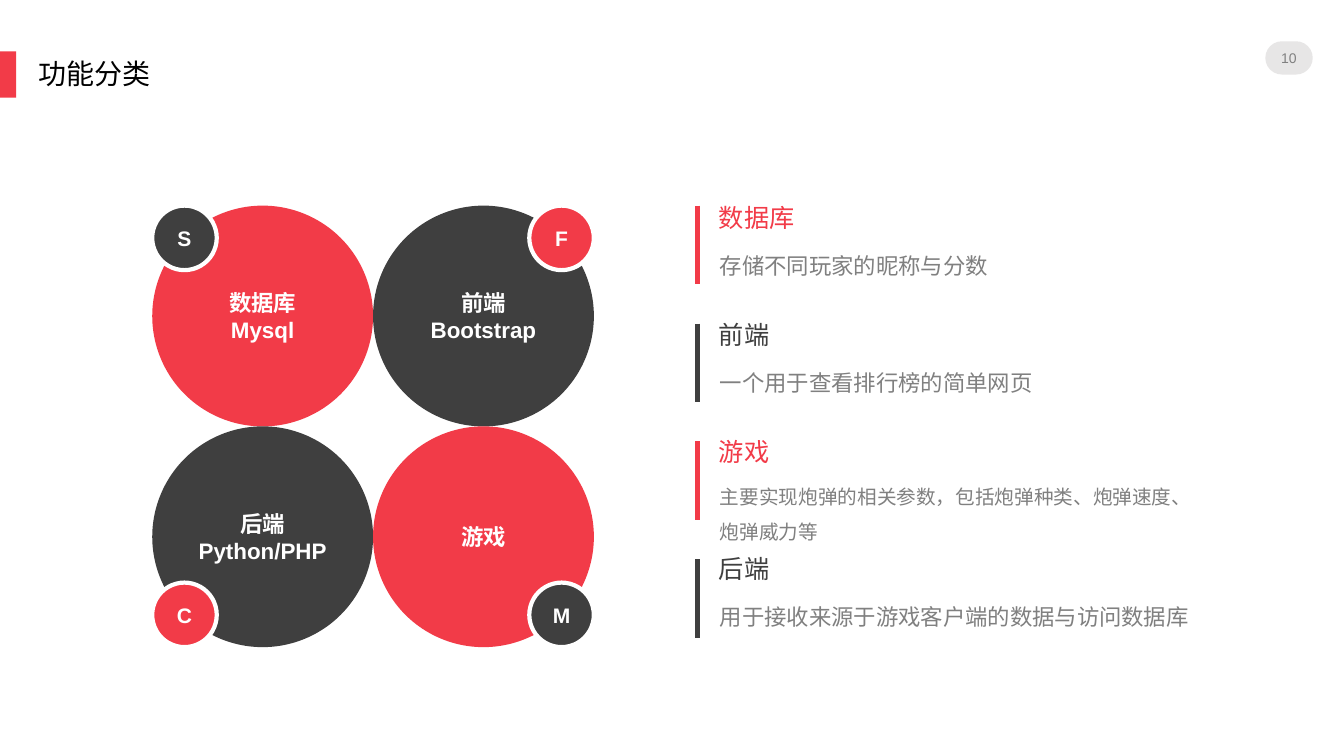
from lxml import etree
from pptx import Presentation
from pptx.dml.color import RGBColor
from pptx.enum.shapes import MSO_CONNECTOR, MSO_SHAPE
from pptx.enum.text import MSO_ANCHOR, MSO_AUTO_SIZE, PP_ALIGN
from pptx.oxml.ns import qn
from pptx.util import Inches, Pt

OVAL, RECT, PILL = MSO_SHAPE.OVAL, MSO_SHAPE.RECTANGLE, MSO_SHAPE.ROUNDED_RECTANGLE
STRAIGHT = MSO_CONNECTOR.STRAIGHT
TOP, MIDDLE = MSO_ANCHOR.TOP, MSO_ANCHOR.MIDDLE
LEFT, CENTER = PP_ALIGN.LEFT, PP_ALIGN.CENTER
NO_FIT = MSO_AUTO_SIZE.NONE

RED, DARK, GRAY, PALE = "F23B48", "3F3F3F", "808080", "E7E6E6"
WHITE, BLACK = "FFFFFF", "000000"

TITLE = "功能分类"
PAGE = "10"
CIRCLES = [
    ("数据库\nMysql", "S", 0, 0, RED, DARK),
    ("前端\nBootstrap", "F", 1, 0, DARK, RED),
    ("后端\nPython/PHP", "C", 0, 1, DARK, RED),
    ("游戏", "M", 1, 1, RED, DARK),
]
ITEMS = [
    ("数据库", "存储不同玩家的昵称与分数", 16, RED),
    ("前端", "一个用于查看排行榜的简单网页", 16, DARK),
    ("游戏", "主要实现炮弹的相关参数，包括炮弹种类、炮弹速度、炮弹威力等", 14, RED),
    ("后端", "用于接收来源于游戏客户端的数据与访问数据库", 16, DARK),
]

GRID_X, GRID_Y, CIRCLE, BADGE = 1.51, 2.04, 2.19, 0.64
BAR_X, BAR_H, BAR_STEP = 6.92, 0.78, 1.17
HEAD_H, TEXT_STEP = 0.33, 1.16


def rgb(value):
    return RGBColor.from_string(value)


def box(x, y, w, h):
    return Inches(x), Inches(y), Inches(w), Inches(h)


def write(sp, text, size, color, bold=False, align=LEFT, anchor=TOP, spacing=None, inset=(0, 0)):
    tf = sp.text_frame
    tf.text = text
    tf.word_wrap = True
    tf.auto_size = NO_FIT
    tf.vertical_anchor = anchor
    tf.margin_left = tf.margin_right = Inches(inset[0])
    tf.margin_top = tf.margin_bottom = Inches(inset[1])
    for p in tf.paragraphs:
        p.alignment = align
        p.space_before = Pt(0)
        if spacing:
            p.line_spacing = spacing
        for r in p.runs:
            r.font.name = "Arial"
            r.font.size = Pt(size)
            r.font.bold = bold
            r.font.color.rgb = rgb(color)


def add_shape(kind, x, y, w, h, fill, line=None):
    sp = slide.shapes.add_shape(kind, *box(x, y, w, h))
    sp.shadow.inherit = False
    sp.fill.solid()
    sp.fill.fore_color.rgb = rgb(fill)
    if line:
        sp.line.color.rgb = rgb(line)
        sp.line.width = Pt(3)
    else:
        sp.line.fill.background()
    return sp


def add_text(x, y, w, h, *args, **kwargs):
    write(slide.shapes.add_textbox(*box(x, y, w, h)), *args, **kwargs)


def add_bar(x, y, h, color):
    line = slide.shapes.add_connector(STRAIGHT, Inches(x), Inches(y), Inches(x), Inches(y + h))
    line.line.color.rgb = rgb(color)
    line.line.width = Pt(4)
    etree.SubElement(line._element.spPr, qn("a:effectLst"))


prs = Presentation()
prs.slide_width, prs.slide_height = Inches(13.33), Inches(7.5)
slide = prs.slides.add_slide(prs.slide_layouts[5])

title = slide.shapes.title
title.left, title.top, title.width, title.height = box(0.28, 0.55, 4.17, 0.46)
write(title, TITLE, 20, BLACK, spacing=0.9, inset=(0.1, 0.05))

add_shape(RECT, 0, 0.51, 0.16, 0.46, RED)
page = add_shape(PILL, 12.55, 0.41, 0.47, 0.33, PALE)
page.adjustments[0] = 0.5
write(page, PAGE, 10, GRAY, align=CENTER, anchor=MIDDLE)

for label, letter, col, row, color, badge_color in CIRCLES:
    circle = add_shape(OVAL, GRID_X + col * CIRCLE, GRID_Y + row * CIRCLE, CIRCLE, CIRCLE, color)
    write(circle, label, 16, WHITE, True, CENTER, MIDDLE)

badge_step = 2 * CIRCLE - BADGE
for label, letter, col, row, color, badge_color in CIRCLES:
    badge = add_shape(OVAL, GRID_X + col * badge_step, GRID_Y + row * badge_step,
                      BADGE, BADGE, badge_color, WHITE)
    write(badge, letter, 15, WHITE, True, CENTER, MIDDLE)

for i, (heading, detail, size, color) in enumerate(ITEMS):
    y = GRID_Y + i * TEXT_STEP
    add_bar(BAR_X, GRID_Y + i * BAR_STEP, BAR_H, color)
    add_text(7.13, y, 4.69, HEAD_H, heading, 18, color, spacing=0.9)
    add_text(7.14, y + HEAD_H, 4.68, 0.56, detail, size, GRAY, spacing=1.5)

prs.save("out.pptx")
